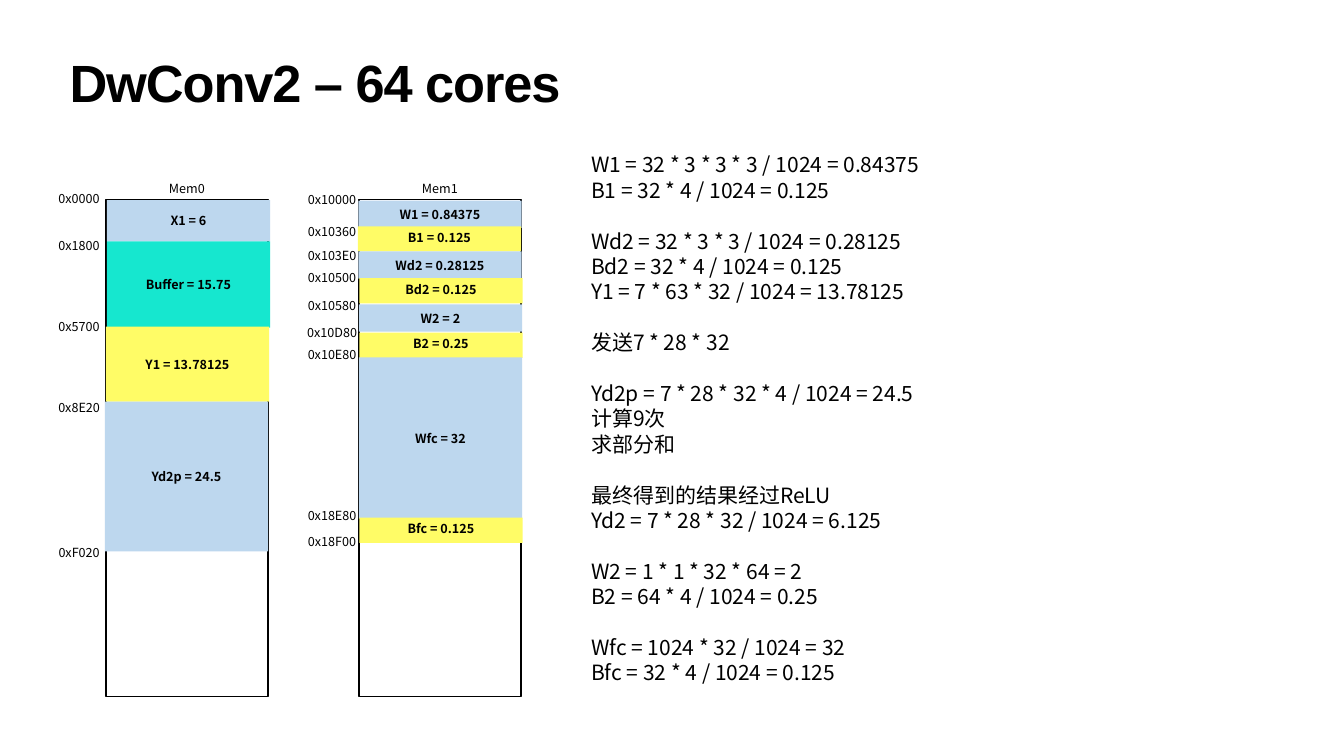
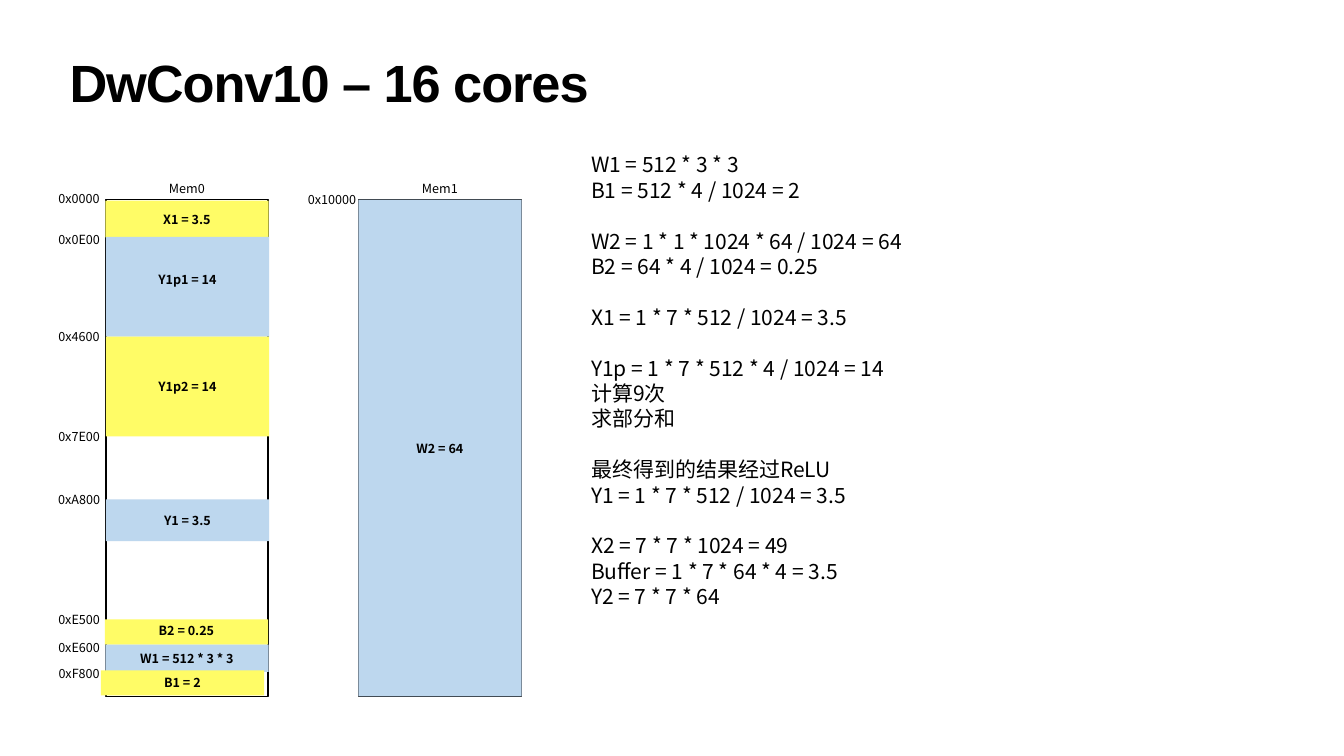
from lxml import etree
from pptx import Presentation
from pptx.dml.color import RGBColor
from pptx.enum.shapes import MSO_SHAPE
from pptx.enum.text import MSO_ANCHOR, MSO_AUTO_SIZE, PP_ALIGN
from pptx.oxml.ns import qn
from pptx.util import Inches, Pt

RECTANGLE = MSO_SHAPE.RECTANGLE
TOP, MIDDLE = MSO_ANCHOR.TOP, MSO_ANCHOR.MIDDLE
LEFT, CENTER = PP_ALIGN.LEFT, PP_ALIGN.CENTER
NO_AUTOFIT = MSO_AUTO_SIZE.NONE

BLACK = RGBColor(0x00, 0x00, 0x00)
BLUE = RGBColor(0xBD, 0xD7, 0xEE)
YELLOW = RGBColor(0xFF, 0xFC, 0x66)
TEAL = RGBColor(0x16, 0xE7, 0xCF)

TEXT_FONT = "Noto Sans CJK SC"
LINE_RATIO = 1.21
TITLE_FORMAT = {"name": "Arial", "size": Pt(74.8), "bold": True}
NOTE_FORMAT = {"name": TEXT_FONT, "size": Pt(30), "bold": False}
LABEL_FORMAT = {"name": TEXT_FONT, "size": Pt(18), "bold": False}
BLOCK_FORMAT = {"name": TEXT_FONT, "size": Pt(18), "bold": True}

TITLE_BOX = (1.32, 1.18, 24.03, 1.57)
NOTES_LEFT, NOTES_TOP, NOTES_WIDTH = 11.68, 2.96, 13.3
MEMORY_LEFT = {"Mem0": 2.1, "Mem1": 7.12}
MEMORY_TOP, MEMORY_WIDTH, MEMORY_HEIGHT = 3.96, 3.22, 9.86
BLOCK_WIDTH = 3.24
LABEL_WIDTH, LABEL_HEIGHT = 1.1, 0.4
INSET = 0.05

# Blocks: label, fill, shift from the memory edge, top, height, extra bottom inset
# Addresses: text, top
SLIDES = [
    {
        "title": "DwConv2 – 64 cores",
        "memories": {
            "Mem0": {
                "blocks": [
                    ("X1 = 6", BLUE, 0.02, 3.97, 0.82, 0),
                    ("Buffer = 15.75", TEAL, 0.02, 4.79, 1.71, 0),
                    ("Y1 = 13.78125", YELLOW, 0, 6.48, 1.49, 0),
                    ("Yd2p = 24.5", BLUE, -0.02, 7.97, 2.97, 0),
                ],
                "addresses": [("0x0000", 3.74), ("0x1800", 4.66), ("0x5700", 6.27),
                              ("0x8E20", 7.88), ("0xF020", 10.76)],
            },
            "Mem1": {
                "blocks": [
                    ("W1 = 0.84375", BLUE, -0.01, 3.98, 0.54, 0),
                    ("B1 = 0.125", YELLOW, -0.02, 4.49, 0.5, 0.06),
                    ("Wd2 = 0.28125", BLUE, -0.01, 4.99, 0.54, 0),
                    ("Bd2 = 0.125", YELLOW, 0.01, 5.52, 0.5, 0.06),
                    ("W2 = 2", BLUE, 0, 6.04, 0.54, 0),
                    ("B2 = 0.25", YELLOW, 0.01, 6.6, 0.5, 0.06),
                    ("Wfc = 32", BLUE, 0, 7.09, 3.2, 0),
                    ("Bfc = 0.125", YELLOW, 0.01, 10.27, 0.5, 0.06),
                ],
                "addresses": [("0x10000", 3.75), ("0x10360", 4.39), ("0x103E0", 4.86),
                              ("0x10500", 5.31), ("0x10580", 5.85), ("0x10D80", 6.39),
                              ("0x10E80", 6.83), ("0x18E80", 10.03), ("0x18F00", 10.54)],
            },
        },
        "notes": [
            ["W1 = 32 * 3 * 3 * 3 / 1024 = 0.84375", "B1 = 32 * 4 / 1024 = 0.125"],
            ["Wd2 = 32 * 3 * 3 / 1024 = 0.28125", "Bd2 = 32 * 4 / 1024 = 0.125",
             "Y1 = 7 * 63 * 32 / 1024 = 13.78125"],
            ["发送7 * 28 * 32"],
            ["Yd2p = 7 * 28 * 32 * 4 / 1024 = 24.5", "计算9次", "求部分和"],
            ["最终得到的结果经过ReLU", "Yd2 = 7 * 28 * 32 / 1024 = 6.125"],
            ["W2 = 1 * 1 * 32 * 64 = 2", "B2 = 64 * 4 / 1024 = 0.25"],
            ["Wfc = 1024 * 32 / 1024 = 32", "Bfc = 32 * 4 / 1024 = 0.125"],
        ],
    },
    {
        "title": "DwConv10 – 16 cores",
        "memories": {
            "Mem0": {
                "blocks": [
                    ("X1 = 3.5", YELLOW, -0.01, 3.98, 0.73, 0),
                    ("Y1p1 = 14", BLUE, 0, 4.7, 1.98, 0.3),
                    ("Y1p2 = 14", YELLOW, 0, 6.68, 1.98, 0),
                    ("Y1 = 3.5", BLUE, 0, 9.91, 0.83, 0),
                    ("B2 = 0.25", YELLOW, -0.02, 12.29, 0.5, 0.06),
                    ("W1 = 512 * 3 * 3", BLUE, -0.01, 12.79, 0.54, 0),
                    ("B1 = 2", YELLOW, -0.1, 13.3, 0.5, 0.02),
                ],
                "addresses": [("0x0000", 3.74), ("0x0E00", 4.54), ("0x4600", 6.48),
                              ("0x7E00", 8.46), ("0xA800", 9.71), ("0xE500", 12.09),
                              ("0xE600", 12.64), ("0xF800", 13.17)],
            },
            "Mem1": {
                "blocks": [("W2 = 64", BLUE, -0.01, 3.96, 9.86, 0)],
                "addresses": [("0x10000", 3.75)],
            },
        },
        "notes": [
            ["W1 = 512 * 3 * 3", "B1 = 512 * 4 / 1024 = 2"],
            ["W2 = 1 * 1 * 1024 * 64 / 1024 = 64", "B2 = 64 * 4 / 1024 = 0.25"],
            ["X1 = 1 * 7 * 512 / 1024 = 3.5"],
            ["Y1p = 1 * 7 * 512 * 4 / 1024 = 14", "计算9次", "求部分和"],
            ["最终得到的结果经过ReLU", "Y1 = 1 * 7 * 512 / 1024 = 3.5"],
            ["X2 = 7 * 7 * 1024 = 49", "Buffer = 1 * 7 * 64 * 4 = 3.5", "Y2 = 7 * 7 * 64"],
        ],
    },
]


def place(shape, left, top, width, height):
    box = {"left": left, "top": top, "width": width, "height": height}
    for name, value in box.items():
        setattr(shape, name, Inches(value))


def set_frame(frame, anchor, inset=INSET, wrap=True):
    frame_format = {"auto_size": NO_AUTOFIT, "word_wrap": wrap, "vertical_anchor": anchor}
    for side in ("left", "top", "right", "bottom"):
        frame_format[f"margin_{side}"] = Inches(inset)
    for name, value in frame_format.items():
        setattr(frame, name, value)


def write(paragraph, text, font_format, alignment):
    run = paragraph.add_run()
    run.text = text
    paragraph.alignment = alignment
    paragraph.space_before = Pt(0)
    paragraph.line_spacing = Pt(font_format["size"].pt * LINE_RATIO)
    for name, value in font_format.items():
        setattr(run.font, name, value)
    run.font.color.rgb = BLACK
    east_asian = etree.SubElement(run.font._element, qn("a:ea"))
    east_asian.set("typeface", font_format["name"])
    return run


def add_title(slide, text):
    title = slide.shapes.title
    place(title, *TITLE_BOX)
    set_frame(title.text_frame, TOP, 0.06)
    paragraph = title.text_frame.paragraphs[0]
    run = write(paragraph, text, TITLE_FORMAT, LEFT)
    paragraph.line_spacing = 0.8
    run.font._element.set("spc", "-150")


def add_notes(slide, groups):
    body = slide.placeholders[1]
    line_height = NOTE_FORMAT["size"].pt * LINE_RATIO
    line_count = sum(len(group) + 1 for group in groups) - 1
    place(body, NOTES_LEFT, NOTES_TOP, NOTES_WIDTH,
          round(line_count * line_height / 72 + 2 * INSET, 2))
    frame = body.text_frame
    set_frame(frame, TOP)
    for group_index, group in enumerate(groups):
        for line_index, line in enumerate(group):
            first = group_index == line_index == 0
            paragraph = frame.paragraphs[0] if first else frame.add_paragraph()
            properties = paragraph._p.get_or_add_pPr()
            properties.set("marL", "0")
            properties.set("indent", "0")
            etree.SubElement(properties, qn("a:buNone"))
            write(paragraph, line, NOTE_FORMAT, LEFT)
            if line_index == 0 and not first:
                paragraph.space_before = Pt(line_height)


def add_label(slide, text, left, top):
    label = slide.shapes.add_textbox(
        *map(Inches, (left, top, LABEL_WIDTH, LABEL_HEIGHT)))
    set_frame(label.text_frame, TOP, wrap=False)
    write(label.text_frame.paragraphs[0], text, LABEL_FORMAT, CENTER)


def add_rectangle(slide, left, top, width, height):
    rectangle = slide.shapes.add_shape(
        RECTANGLE, *map(Inches, (left, top, width, height)))
    rectangle.shadow.inherit = False
    return rectangle


def add_memory(slide, name, blocks, addresses):
    left = MEMORY_LEFT[name]
    add_label(slide, name, left + (MEMORY_WIDTH - LABEL_WIDTH) / 2, 3.53)
    outline = add_rectangle(slide, left, MEMORY_TOP, MEMORY_WIDTH, MEMORY_HEIGHT)
    outline.fill.background()
    outline.line.color.rgb = BLACK
    outline.line.width = Pt(2.25)
    for text, fill, shift, top, height, lift in blocks:
        block = add_rectangle(slide, left + shift, top, BLOCK_WIDTH, height)
        block.fill.solid()
        block.fill.fore_color.rgb = fill
        block.line.fill.background()
        set_frame(block.text_frame, MIDDLE)
        block.text_frame.margin_bottom = Inches(INSET + lift)
        write(block.text_frame.paragraphs[0], text, BLOCK_FORMAT, CENTER)
    for text, top in addresses:
        add_label(slide, text, left - 1.08, top)


def main():
    presentation = Presentation()
    presentation.slide_width = Inches(26.67)
    presentation.slide_height = Inches(15)
    for content in SLIDES:
        slide = presentation.slides.add_slide(presentation.slide_layouts[1])
        add_title(slide, content["title"])
        add_notes(slide, content["notes"])
        for name, memory in content["memories"].items():
            add_memory(slide, name, **memory)
    presentation.save("out.pptx")


if __name__ == "__main__":
    main()
